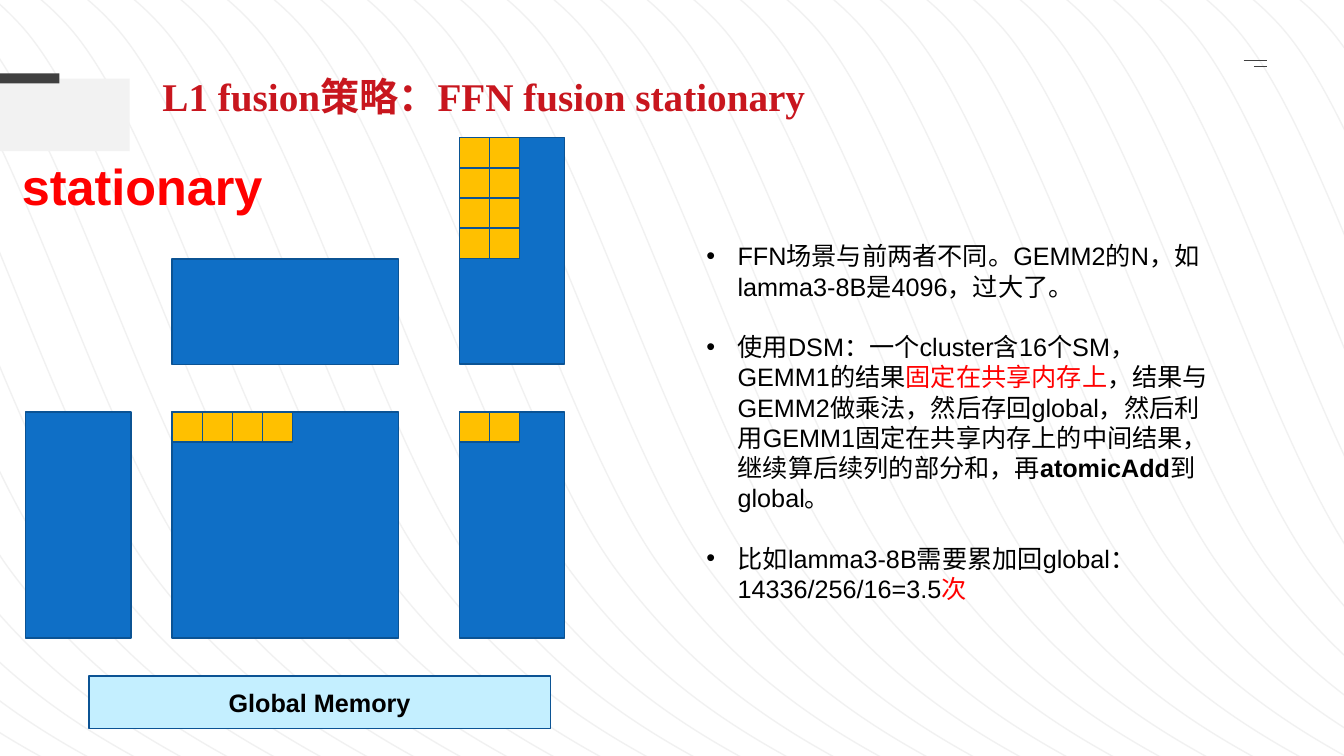
import pptx
import pptx.util
import pptx.dml.color
import pptx.enum.shapes
import pptx.enum.text
import pptx.oxml.ns
from lxml import etree

Cm, Pt = pptx.util.Cm, pptx.util.Pt
RGB = pptx.dml.color.RGBColor
ALIGN = pptx.enum.text.PP_ALIGN
ANCHOR = pptx.enum.text.MSO_ANCHOR
qn = pptx.oxml.ns.qn

COLORS = {
    "wave": "D9D9D9", "panel": "F2F2F2", "dark": "404040", "memory": "C4EFFF",
    "edge": "0B5394", "matrix": "0F6FC6", "tile": "FFC000",
    "title": "C8161E", "accent": "FF0000", "text": "000000",
}

TITLE = "L1 fusion策略：FFN fusion stationary"
TITLE_BOX = (3.84, 1.7, 18.62, 1.45)
LABEL = "stationary"
LABEL_BOX = (0.3, 3.78, 7.57, 1.8)
MEMORY = "Global Memory"
MEMORY_BOX = (2.24, 17.04, 11.63, 1.32)
NOTES_BOX = (17.55, 5.94, 13.56, 9.47)
NOTES = [
    [("FFN场景与前两者不同。GEMM2的N，如lamma3-8B是4096，过大了。", {})],
    [
        ("使用DSM：一个cluster含16个SM，GEMM1的结果", {}),
        ("固定在共享内存上", {"tone": "accent"}),
        ("，结果与GEMM2做乘法，然后存回global，然后利用GEMM1固定在共享内存上的中间结果，继续算后续列的部分和，再", {}),
        ("atomicAdd", {"bold": True}),
        ("到global。", {}),
    ],
    [
        ("比如lamma3-8B需要累加回global：14336/256/16=3.5", {}),
        ("次", {"tone": "accent"}),
    ],
]

SHORT, LONG, TILE = 2.65, 5.7, 0.76
COLUMNS = {"input": 0.65, "middle": 4.34, "output": 11.58}
ROWS = {"weight1": 6.53, "weight2": 3.47, "result": 10.38}
MATRICES = [
    ("input", "result", SHORT, LONG),
    ("middle", "weight1", LONG, SHORT),
    ("middle", "result", LONG, LONG),
    ("output", "weight2", SHORT, LONG),
    ("output", "result", SHORT, LONG),
]
TILE_GRIDS = [
    ("middle", "result", 4, 1),
    ("output", "weight2", 2, 4),
    ("output", "result", 2, 1),
]

PANELS = [("panel", (-0.97, 1.98, 4.24, 1.83)), ("dark", (0, 1.85, 1.5, 0.25))]
MENU_LINES = [(31.34, 1.52), (31.6, 1.68)]
MENU_RIGHT = 31.93

WAVE_COUNT, WAVE_FIRST, WAVE_STEP = 40, -18.28, 1.175
WAVE = [
    (0, -0.69),
    (2.36, -1.3), (4.72, -1.9), (7.03, 0.61),
    (9.35, 3.12), (11.41, 11.13), (13.86, 14.4),
    (16.31, 17.68), (19, 18.97), (21.69, 20.27),
]


def color(name):
    return RGB.from_string(COLORS[name])


def add_waves(slide):
    builder = slide.shapes.build_freeform(Cm(WAVE_FIRST), Cm(WAVE[0][1]))
    for number in range(WAVE_COUNT):
        shift = WAVE_FIRST + number * WAVE_STEP
        points = [(Cm(x + shift), Cm(y)) for x, y in WAVE]
        if number:
            builder.move_to(*points[0])
        builder.add_line_segments(points[1:], close=False)
    waves = builder.convert_to_shape()
    waves.shadow.inherit = False
    waves.fill.background()
    waves.line.color.rgb = color("wave")
    waves.line.width = Pt(1)
    tint = next(waves.element.spPr.iter(qn("a:srgbClr")))
    etree.SubElement(tint, qn("a:alpha"), val="34000")
    segments = list(waves.element.spPr.iter(qn("a:lnTo")))
    for first, second, third in zip(segments[::3], segments[1::3], segments[2::3]):
        curve = etree.Element(qn("a:cubicBezTo"))
        first.addprevious(curve)
        for segment in (first, second, third):
            curve.append(segment[0])
            segment.getparent().remove(segment)


def add_block(slide, box, fill, edge=None):
    block = slide.shapes.add_shape(
        pptx.enum.shapes.MSO_SHAPE.RECTANGLE, *(Cm(v) for v in box))
    block.shadow.inherit = False
    block.fill.solid()
    block.fill.fore_color.rgb = color(fill)
    if edge:
        block.line.color.rgb = color(edge)
        block.line.width = Pt(1)
    else:
        block.line.fill.background()
    return block


def add_menu_line(slide, left, top):
    stroke = slide.shapes.add_connector(
        pptx.enum.shapes.MSO_CONNECTOR.STRAIGHT,
        Cm(left), Cm(top), Cm(MENU_RIGHT), Cm(top))
    stroke.line.color.rgb = color("dark")
    stroke.line.width = Pt(1)
    etree.SubElement(stroke.element.spPr, qn("a:effectLst"))


def write(paragraph, text, size, name="Arial", tone="text", bold=False):
    run = paragraph.add_run()
    run.text = text
    formats = {"size": Pt(size), "name": name, "bold": bold}
    for key, value in formats.items():
        setattr(run.font, key, value)
    run.font.color.rgb = color(tone)


def set_frame(frame, anchor=ANCHOR.TOP):
    formats = {
        "word_wrap": True,
        "vertical_anchor": anchor,
        "auto_size": pptx.enum.text.MSO_AUTO_SIZE.NONE,
    }
    for key, value in formats.items():
        setattr(frame, key, value)
    return frame


def add_text_box(slide, box):
    return set_frame(slide.shapes.add_textbox(*(Cm(v) for v in box)).text_frame)


def add_bullet(paragraph):
    properties = paragraph._p.get_or_add_pPr()
    for key, value in {"marL": Cm(0.79), "indent": -Cm(0.79)}.items():
        properties.set(key, str(int(value)))
    etree.SubElement(properties, qn("a:buFont"), typeface="Arial")
    etree.SubElement(properties, qn("a:buChar"), char="•")


def add_notes(slide):
    frame = add_text_box(slide, NOTES_BOX)
    for number, parts in enumerate(NOTES):
        point = frame.add_paragraph() if number else frame.paragraphs[0]
        add_bullet(point)
        if number:
            point.space_before = Pt(21.6)
        for text, style in parts:
            write(point, text, 18, **style)


def place_title(slide):
    title = slide.shapes.title
    for key, value in zip(("left", "top", "width", "height"), TITLE_BOX):
        setattr(title, key, Cm(value))
    heading = set_frame(title.text_frame).paragraphs[0]
    heading.alignment = ALIGN.LEFT
    write(heading, TITLE, 28, "Times New Roman", "title", True)
    title.element.getparent().append(title.element)


def main():
    deck = pptx.Presentation()
    deck.slide_width, deck.slide_height = Cm(33.87), Cm(19.05)
    slide = deck.slides.add_slide(deck.slide_layouts[5])

    add_waves(slide)
    for fill, box in PANELS:
        add_block(slide, box, fill)
    memory = add_block(slide, MEMORY_BOX, "memory", "edge")
    caption = set_frame(memory.text_frame, ANCHOR.MIDDLE).paragraphs[0]
    caption.alignment = ALIGN.CENTER
    write(caption, MEMORY, 18, bold=True)
    for left, top in MENU_LINES:
        add_menu_line(slide, left, top)
    place_title(slide)

    for column, row, width, height in MATRICES:
        add_block(slide, (COLUMNS[column], ROWS[row], width, height), "matrix", "edge")
    for column, row, across, down in TILE_GRIDS:
        for i in range(across):
            for j in range(down):
                corner = (COLUMNS[column] + i * TILE, ROWS[row] + j * TILE)
                add_block(slide, (*corner, TILE, TILE), "tile", "edge")

    add_notes(slide)
    label = add_text_box(slide, LABEL_BOX).paragraphs[0]
    write(label, LABEL, 36, tone="accent", bold=True)
    deck.save("out.pptx")


if __name__ == "__main__":
    main()
